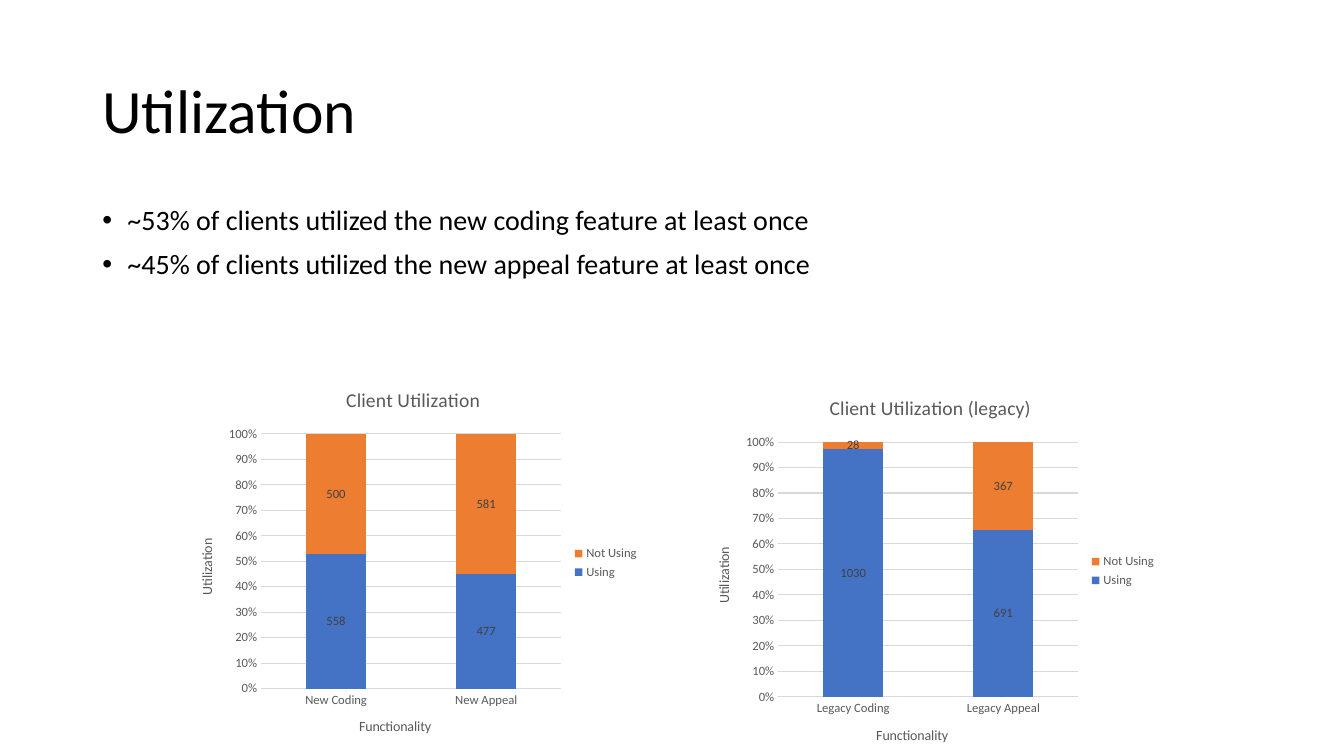
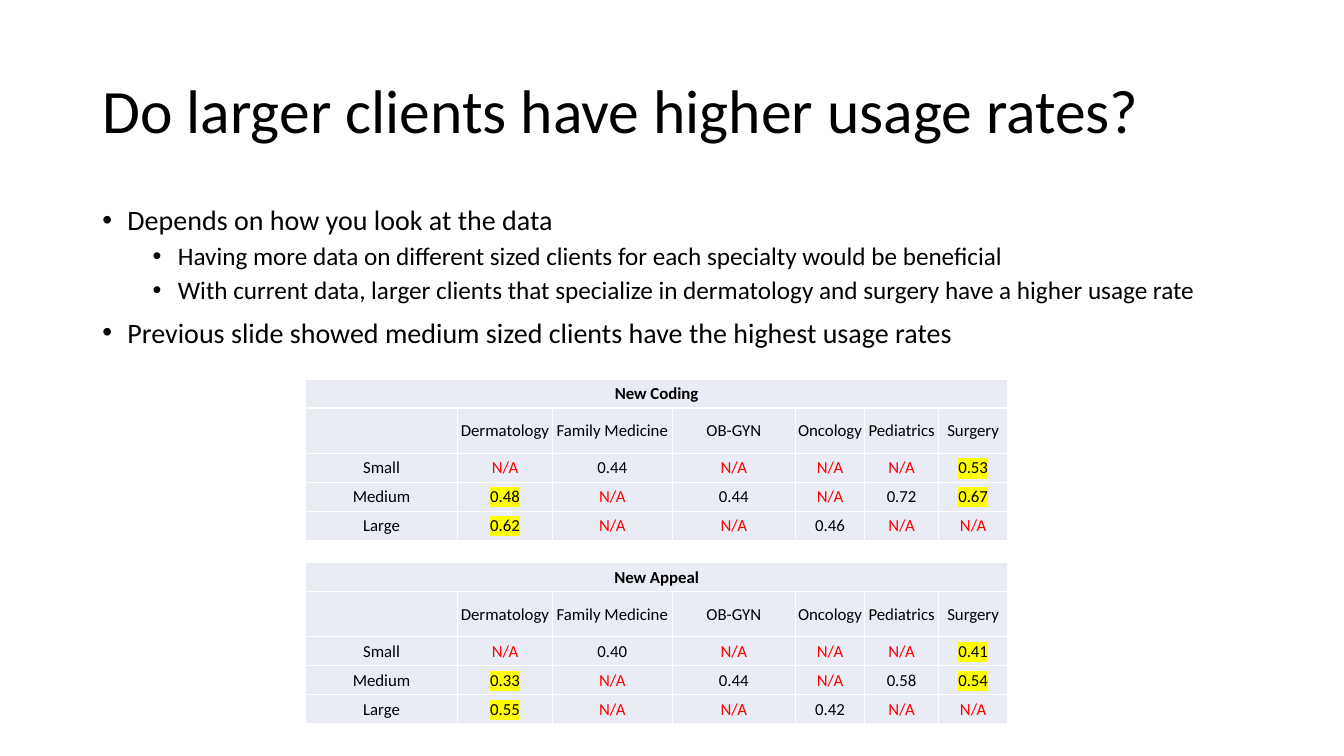
from lxml.etree import SubElement
from pptx import Presentation
from pptx.chart.data import CategoryChartData
from pptx.dml.color import RGBColor
from pptx.enum.chart import XL_CHART_TYPE, XL_LABEL_POSITION, XL_LEGEND_POSITION, XL_TICK_MARK
from pptx.enum.text import MSO_ANCHOR, MSO_AUTO_SIZE, PP_ALIGN
from pptx.oxml.ns import qn
from pptx.util import Pt

FONT = "Calibri"
BLACK, WHITE, RED, YELLOW = "000000", "FFFFFF", "FF0000", "FFFF00"
GREY, LABEL_GREY, LINE_GREY = "595959", "404040", "D9D9D9"
CELL_FILL = "E9EBF5"
SERIES_COLORS = ("4472C4", "ED7D31")

TITLE_BOX = (66, 28.75, 828, 104.4)
BODY_BOX = (66, 143.75, 828, 342.6)
CHART_BOXES = ((126.7, 264.2, 337, 275.8), (496.1, 270, 337, 275.8))
TABLE_BOXES = ((218.2, 270.7, 501.8, 115.2), (218.2, 401.8, 501.8, 115.2))

COLUMN_WIDTHS = (108.7, 67.7, 85.7, 87.8, 49.7, 52.6, 49.6)
ROW_HEIGHT, HEADER_HEIGHT = 20.7, 32.4
SPECIALTIES = ("", "Dermatology", "Family Medicine", "OB-GYN", "Oncology", "Pediatrics", "Surgery")
HIGHLIGHTED_SPECIALTIES = ("Dermatology", "Surgery")
LEVELS = ({"size": 20, "indent": 18, "before": 10}, {"size": 18, "indent": 54, "before": 5})

CHARTS = (
    ("Client Utilization", ("New Coding", "New Appeal"), (558, 477), (500, 581)),
    ("Client Utilization (legacy)", ("Legacy Coding", "Legacy Appeal"), (1030, 691), (28, 367)),
)
TABLES = (
    ("New Coding", (
        ("Small", "N/A", "0.44", "N/A", "N/A", "N/A", "0.53"),
        ("Medium", "0.48", "N/A", "0.44", "N/A", "0.72", "0.67"),
        ("Large", "0.62", "N/A", "N/A", "0.46", "N/A", "N/A"),
    )),
    ("New Appeal", (
        ("Small", "N/A", "0.40", "N/A", "N/A", "N/A", "0.41"),
        ("Medium", "0.33", "N/A", "0.44", "N/A", "0.58", "0.54"),
        ("Large", "0.55", "N/A", "N/A", "0.42", "N/A", "N/A"),
    )),
)


def rgb(color):
    """Turn a hex string into a colour."""
    return RGBColor.from_string(color)


def points(box):
    """Turn a box of numbers into lengths."""
    return [Pt(length) for length in box]


def set_font(font, size, color=BLACK, bold=False):
    """Apply the shared typeface with a size, colour and weight."""
    font.name = FONT
    font.size = Pt(size)
    font.bold = bold
    font.color.rgb = rgb(color)


def add_titled_slide(presentation, title):
    """Add a title-only slide with the shared title style."""
    slide = presentation.slides.add_slide(presentation.slide_layouts[5])
    shape = slide.shapes.title
    shape.left, shape.top, shape.width, shape.height = points(TITLE_BOX)
    frame = shape.text_frame
    frame.text = title
    frame.auto_size = MSO_AUTO_SIZE.NONE
    frame.vertical_anchor = MSO_ANCHOR.MIDDLE
    paragraph = frame.paragraphs[0]
    paragraph.alignment = PP_ALIGN.LEFT
    paragraph.line_spacing = 0.9
    set_font(paragraph.font, 44)
    return slide


def add_bullets(slide, box, items):
    """Fill a box with bulleted (level, text) items."""
    frame = slide.shapes.add_textbox(*points(box)).text_frame
    frame.word_wrap = True
    for index, (level, text) in enumerate(items):
        paragraph = frame.add_paragraph() if index else frame.paragraphs[0]
        style = LEVELS[level]
        paragraph.text = text
        paragraph.level = level
        paragraph.line_spacing = 0.9
        paragraph.space_before = Pt(style["before"])
        set_font(paragraph.font, style["size"])
        properties = paragraph._p.get_or_add_pPr()
        properties.set("marL", str(Pt(style["indent"])))
        properties.set("indent", str(-Pt(18)))
        bullet_font = properties.makeelement(qn("a:buFont"), {"typeface": "Arial"})
        bullet = properties.makeelement(qn("a:buChar"), {"char": "•"})
        default_font = properties.find(qn("a:defRPr"))
        default_font.addprevious(bullet_font)
        default_font.addprevious(bullet)


def set_chart_title(title, text, size):
    """Write a chart or axis title."""
    title.text_frame.text = text
    set_font(title.text_frame.paragraphs[0].font, size, GREY)


def style_axis(axis, title):
    """Give an axis its title, label font and plain ticks."""
    set_chart_title(axis.axis_title, title, 10)
    set_font(axis.tick_labels.font, 9, GREY)
    axis.major_tick_mark = axis.minor_tick_mark = XL_TICK_MARK.NONE


def add_utilization_chart(slide, box, title, categories, using, not_using):
    """Place a full-height stacked column chart in a box."""
    data = CategoryChartData()
    data.categories = categories
    data.add_series("Using", using)
    data.add_series("Not Using", not_using)
    chart = slide.shapes.add_chart(XL_CHART_TYPE.COLUMN_STACKED_100, *points(box), data).chart
    set_font(chart.font, 10)
    set_chart_title(chart.chart_title, title, 14)
    chart.chart_title.include_in_layout = False

    chart.has_legend = True
    chart.legend.position = XL_LEGEND_POSITION.RIGHT
    chart.legend.include_in_layout = False
    set_font(chart.legend.font, 9, GREY)

    style_axis(chart.category_axis, "Functionality")
    style_axis(chart.value_axis, "Utilization")
    chart.value_axis.tick_labels.number_format = "0%"
    chart.value_axis.tick_labels.number_format_is_linked = False
    chart.value_axis.format.line.fill.background()
    for line in (chart.category_axis.format.line, chart.value_axis.major_gridlines.format.line):
        line.color.rgb = rgb(LINE_GREY)
        line.width = Pt(0.75)

    plot = chart.plots[0]
    plot.vary_by_categories = False
    plot.gap_width = 150
    plot.overlap = 100
    for series, color in zip(plot.series, SERIES_COLORS):
        series.format.fill.solid()
        series.format.fill.fore_color.rgb = rgb(color)
        labels = series.data_labels
        labels.show_value = True
        labels.position = XL_LABEL_POSITION.CENTER
        set_font(labels.font, 9, LABEL_GREY)


def set_borders(cell):
    """Draw a white line on each side of a cell."""
    properties = cell._tc.get_or_add_tcPr()
    for side in ("lnL", "lnR", "lnT", "lnB"):
        line = SubElement(properties, qn(f"a:{side}"), w=str(Pt(1)))
        fill = SubElement(line, qn("a:solidFill"))
        SubElement(fill, qn("a:srgbClr"), val=WHITE)


def highlight(run):
    """Mark a run in yellow."""
    mark = SubElement(run._r.get_or_add_rPr(), qn("a:highlight"))
    SubElement(mark, qn("a:srgbClr"), val=YELLOW)


def fill_cell(cell, text, bold=False, highlighted=False):
    """Write and style one table cell."""
    set_borders(cell)
    cell.fill.solid()
    cell.fill.fore_color.rgb = rgb(CELL_FILL)
    cell.vertical_anchor = MSO_ANCHOR.MIDDLE
    cell.margin_left = cell.margin_right = cell.margin_top = Pt(0.7)
    cell.margin_bottom = Pt(0)
    cell.text = text
    paragraph = cell.text_frame.paragraphs[0]
    paragraph.alignment = PP_ALIGN.CENTER
    set_font(paragraph.font, 12, RED if text == "N/A" else BLACK, bold)
    if highlighted:
        highlight(paragraph.runs[0])


def add_usage_table(slide, box, title, usage):
    """Place a table of usage by client size and specialty in a box."""
    rows = ((title,) + ("",) * (len(SPECIALTIES) - 1), SPECIALTIES) + usage
    table = slide.shapes.add_table(len(rows), len(SPECIALTIES), *points(box)).table
    table.first_row = table.horz_banding = False
    for column, width in zip(table.columns, COLUMN_WIDTHS):
        column.width = Pt(width)
    for row_index, values in enumerate(rows):
        table.rows[row_index].height = Pt(HEADER_HEIGHT if row_index == 1 else ROW_HEIGHT)
        for column_index, (specialty, text) in enumerate(zip(SPECIALTIES, values)):
            highlighted = row_index > 1 and specialty in HIGHLIGHTED_SPECIALTIES and text != "N/A"
            fill_cell(table.cell(row_index, column_index), text, row_index == 0, highlighted)
    table.cell(0, 0).merge(table.cell(0, len(SPECIALTIES) - 1))


def build_utilization_slide(presentation):
    """Build the slide that compares new and legacy utilization."""
    slide = add_titled_slide(presentation, "Utilization")
    add_bullets(slide, BODY_BOX, (
        (0, "~53% of clients utilized the new coding feature at least once"),
        (0, "~45% of clients utilized the new appeal feature at least once"),
    ))
    for box, content in zip(CHART_BOXES, CHARTS):
        add_utilization_chart(slide, box, *content)


def build_client_size_slide(presentation):
    """Build the slide on usage rates by client size."""
    slide = add_titled_slide(presentation, "Do larger clients have higher usage rates?")
    add_bullets(slide, BODY_BOX, (
        (0, "Depends on how you look at the data"),
        (1, "Having more data on different sized clients for each specialty would be beneficial"),
        (1, "With current data, larger clients that specialize in dermatology and surgery "
            "have a higher usage rate"),
        (0, "Previous slide showed medium sized clients have the highest usage rates"),
    ))
    for box, content in zip(TABLE_BOXES, TABLES):
        add_usage_table(slide, box, *content)


def main():
    """Build and save the presentation."""
    presentation = Presentation()
    presentation.slide_width, presentation.slide_height = Pt(960), Pt(540)
    build_utilization_slide(presentation)
    build_client_size_slide(presentation)
    presentation.save("out.pptx")


main()
